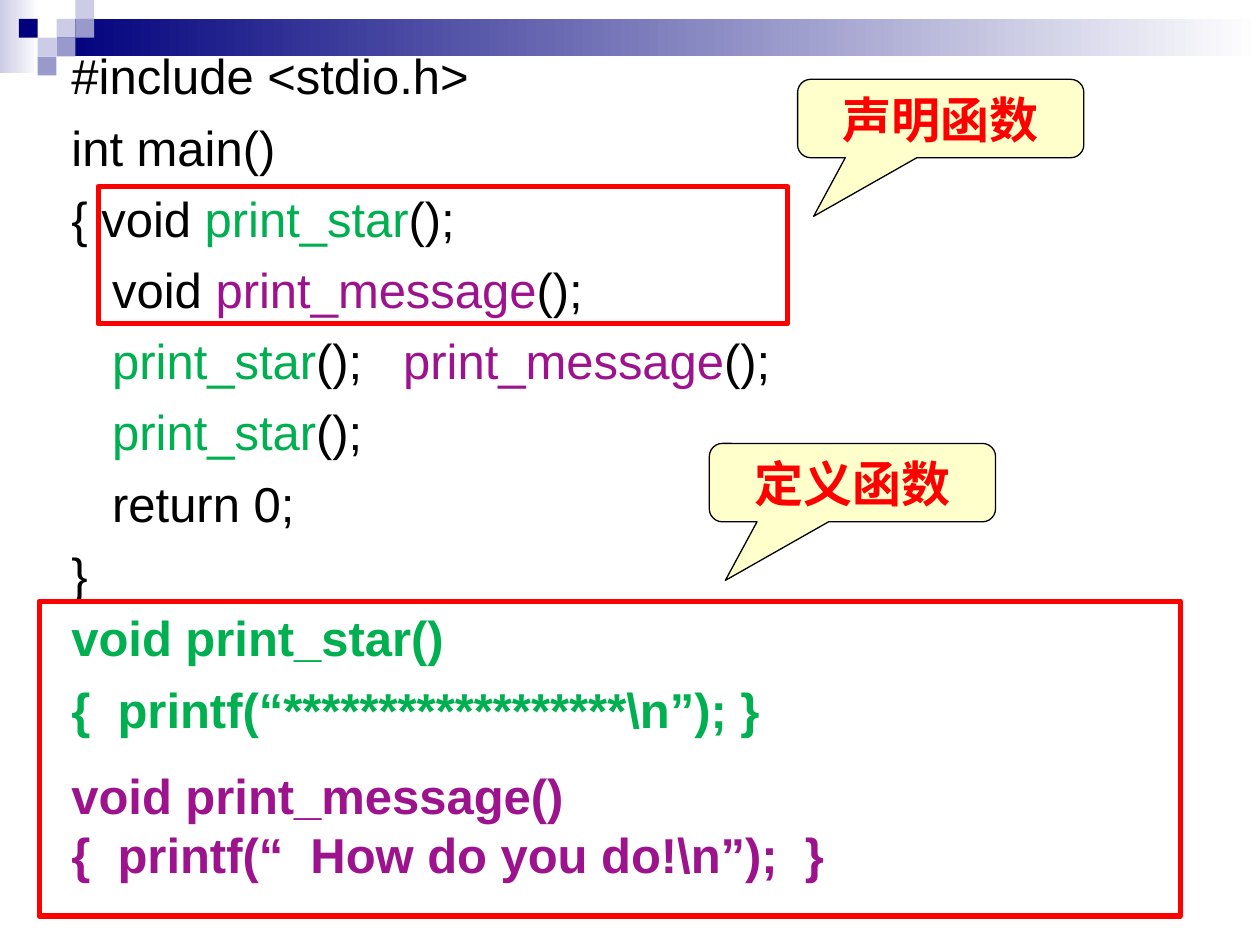
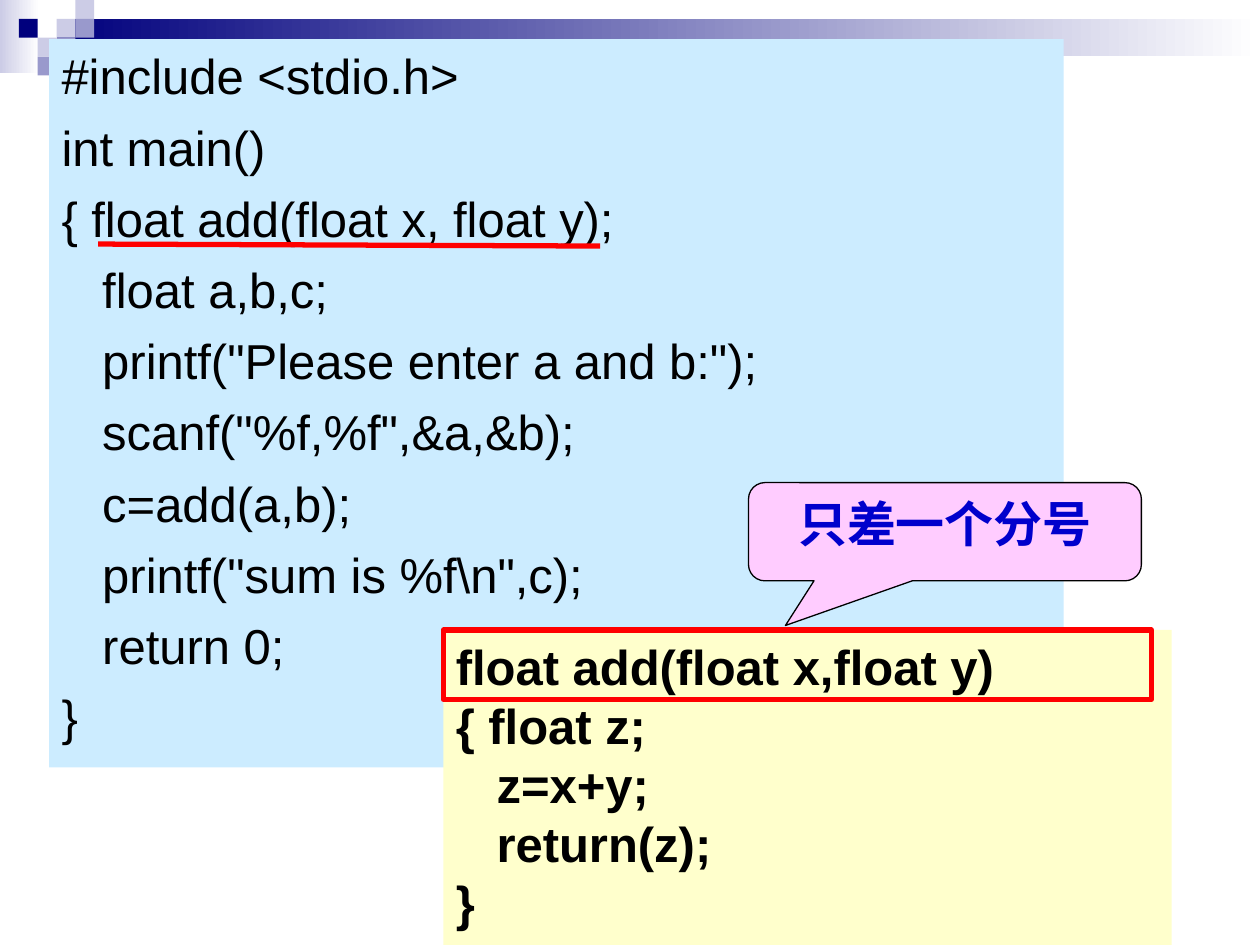
from pptx import Presentation
from pptx.dml.color import RGBColor
from pptx.enum import dml, shapes, text
from pptx.oxml import ns
from pptx.util import Cm, Pt
from lxml import etree

COLORS = {
    "navy": "00007D", "mid": "9999CC", "pale": "CCCCE6", "white": "FFFFFF",
    "black": "000000", "red": "FF0000", "green": "00B050", "purple": "9D138D",
    "blue": "0000CC", "cream": "FFFFCC", "pink": "FFCCFF", "sky": "CCECFF",
}
CODE = {"name": "Arial", "size": Pt(28)}
BOLD = {**CODE, "bold": True}
SPACED = {"space_before": Pt(7), "hanging": Cm(0.97)}
LINE_HEIGHT = Pt(33.7)
RECT = shapes.MSO_SHAPE.RECTANGLE
CALLOUT = shapes.MSO_SHAPE.ROUNDED_RECTANGULAR_CALLOUT


def rgb(name):
    return RGBColor.from_string(COLORS[name])


def add_box(s, box, fill=None, line=None, width=3, kind=RECT):
    sp = s.shapes.add_shape(kind, *map(Cm, box))
    sp.shadow.inherit = False
    paint(sp, fill)
    if line:
        sp.line.color.rgb, sp.line.width = rgb(line), Pt(width)
    else:
        sp.line.fill.background()
    return sp


def paint(sp, fill):
    """Fill with one colour, a pair of gradient colours, or nothing."""
    if isinstance(fill, tuple):
        sp.fill.gradient()
        sp.fill.gradient_angle = 0
        for stop, (position, name) in zip(sp.fill.gradient_stops, enumerate(fill)):
            stop.position, stop.color.rgb = position, rgb(name)
    elif fill:
        sp.fill.solid()
        sp.fill.fore_color.rgb = rgb(fill)
    else:
        sp.fill.background()


def format_frame(sp):
    tf = sp.text_frame
    formats = {
        "word_wrap": True, "auto_size": text.MSO_AUTO_SIZE.NONE,
        "vertical_anchor": text.MSO_ANCHOR.TOP,
        "margin_left": Cm(0.25), "margin_right": Cm(0.25),
        "margin_top": Cm(0.13), "margin_bottom": Cm(0.13),
    }
    for key, value in formats.items():
        setattr(tf, key, value)
    return tf


def add_run(p, words, color, font):
    r = p.add_run()
    r.text = words
    for key, value in font.items():
        setattr(r.font, key, value)
    r.font.color.rgb = rgb(color)


def write_code(sp, lines, color="black", font=CODE, space_before=Pt(0), hanging=0):
    """Each line is a string, or a list of strings and (string, colour) pairs."""
    tf = format_frame(sp)
    for i, line in enumerate(lines):
        p = tf.paragraphs[0] if i == 0 else tf.add_paragraph()
        pPr = p._p.get_or_add_pPr()
        pPr.set("marL", str(int(hanging)))
        pPr.set("indent", str(-int(hanging)))
        etree.SubElement(pPr, ns.qn("a:buNone"))
        p.alignment = text.PP_ALIGN.LEFT
        p.line_spacing = LINE_HEIGHT
        p.space_before = space_before if i else Pt(0)
        for part in [line] if isinstance(line, str) else line:
            words, shade = (part, color) if isinstance(part, str) else part
            add_run(p, words, shade, font)


def code_body(s, box, lines, fill=None):
    """Main program in the body placeholder."""
    sp = s.placeholders[1]
    for key, value in zip(("left", "top", "width", "height"), box):
        setattr(sp, key, Cm(value))
    paint(sp, fill)
    write_code(sp, lines, **SPACED)


def code_text(s, box, lines, color, **layout):
    sp = s.shapes.add_textbox(*map(Cm, box))
    write_code(sp, lines, color, BOLD, **layout)


def callout(s, box, words, color, fill, tip):
    sp = add_box(s, box, fill, "black", 0.75, CALLOUT)
    for i, value in enumerate((*tip, 0.167)):
        sp.adjustments[i] = value
    p = format_frame(sp).paragraphs[0]
    p.alignment = text.PP_ALIGN.CENTER
    add_run(p, words, color, BOLD)


def underline(s, x1, y1, x2, y2):
    cx = s.shapes.add_connector(shapes.MSO_CONNECTOR.STRAIGHT,
                                *map(Cm, (x1, y1, x2, y2)))
    cx.line.color.rgb, cx.line.width = rgb("red"), Pt(3)
    etree.SubElement(cx._element.spPr, ns.qn("a:effectLst"))


def header_band(s, layout, box):
    """Gradient band and checker squares, moved to the shared layout."""
    x, y, w, unit = box
    parts = [add_box(s, (x, y, 0.79, 1.47), ("pale", "white")),
             add_box(s, (x + 3 * unit, y + unit, w - 3 * unit, 2 * unit),
                     ("navy", "white"))]
    squares = [(3, 1, "pale"), (4, 0, "pale"), (4, 1, "mid"), (2, 2, "pale"),
               (1, 1, "navy"), (3, 2, "mid"), (2, 3, "mid")]
    for col, row, fill in squares:
        parts.append(add_box(s, (x + col * unit, y + row * unit, unit, unit), fill))
    for i, sp in enumerate(parts):
        sp._element.nvSpPr.cNvPr.set("id", str(100 + i))
        layout.shapes._spTree.insert(2 + i, sp._element)


def new_slide(prs, layout):
    s = prs.slides.add_slide(layout)
    title = s.shapes.title._element
    title.getparent().remove(title)
    return s


def declare_slide(s):
    star, message = ("print_star", "green"), ("print_message", "purple")
    code_body(s, (1.19, 0.79, 22.81, 11.71), [
        "#include <stdio.h>",
        "int main()",
        ["{ void ", star, "();"],
        ["   void ", message, "();"],
        ["   ", star, "();   ", message, "();"],
        ["   ", star, "();"],
        "   return 0;",
        "}",
    ])
    # Function definitions
    code_text(s, (1.19, 12.12, 22.81, 3.76),
              ["void print_star()", "{  printf(“******************\\n”); }"],
              "green", **SPACED)
    code_text(s, (1.19, 15.29, 20.62, 2.97),
              ["void print_message()", "{  printf(“  How do you do!\\n”);  }"],
              "purple")
    # Frames with their callouts
    marks = [((1.98, 3.76, 13.89, 2.77), "声明函数", (16.08, 1.6)),
             ((0.79, 12.12, 23.01, 6.35), "定义函数", (14.3, 8.94))]
    for frame, words, corner in marks:
        add_box(s, frame, line="red")
        callout(s, (*corner, 5.77, 1.58), words, "red", "cream", (-0.444, 1.248))


def semicolon_slide(s):
    code_body(s, (0.99, 0.79, 20.45, 14.68), [
        "#include <stdio.h>",
        "int main()",
        "{ float add(float x, float y);",
        "   float a,b,c;",
        '   printf("Please enter a and b:");',
        '   scanf("%f,%f",&a,&b);',
        "   c=add(a,b);",
        '   printf("sum is %f\\n",c);',
        "   return 0;",
        "}",
    ], "sky")
    # Function definition
    x, y = 8.94, 12.7
    panel = add_box(s, (x, y, 14.68, 6.35), "cream")
    write_code(panel, ["float add(float x,float y)", "{ float z;", "   z=x+y;",
                       "   return(z);", "}"], font=BOLD)
    callout(s, (15.09, 9.73, 7.92, 1.98), "只差一个分号", "blue", "pink",
            (-0.406, 0.955))
    # Matching declaration and heading
    underline(s, 1.98, 4.92, 12.1, 4.96)
    add_box(s, (x, y, 14.27, 1.4), line="red")


def main():
    prs = Presentation()
    prs.slide_width, prs.slide_height = Cm(25.4), Cm(19.05)
    layout = prs.slide_layouts[1]
    first, second = (new_slide(prs, layout) for _ in range(2))
    header_band(first, layout, (0, 0, 25.4, 0.38))
    declare_slide(first)
    semicolon_slide(second)
    prs.save("out.pptx")


if __name__ == "__main__":
    main()
